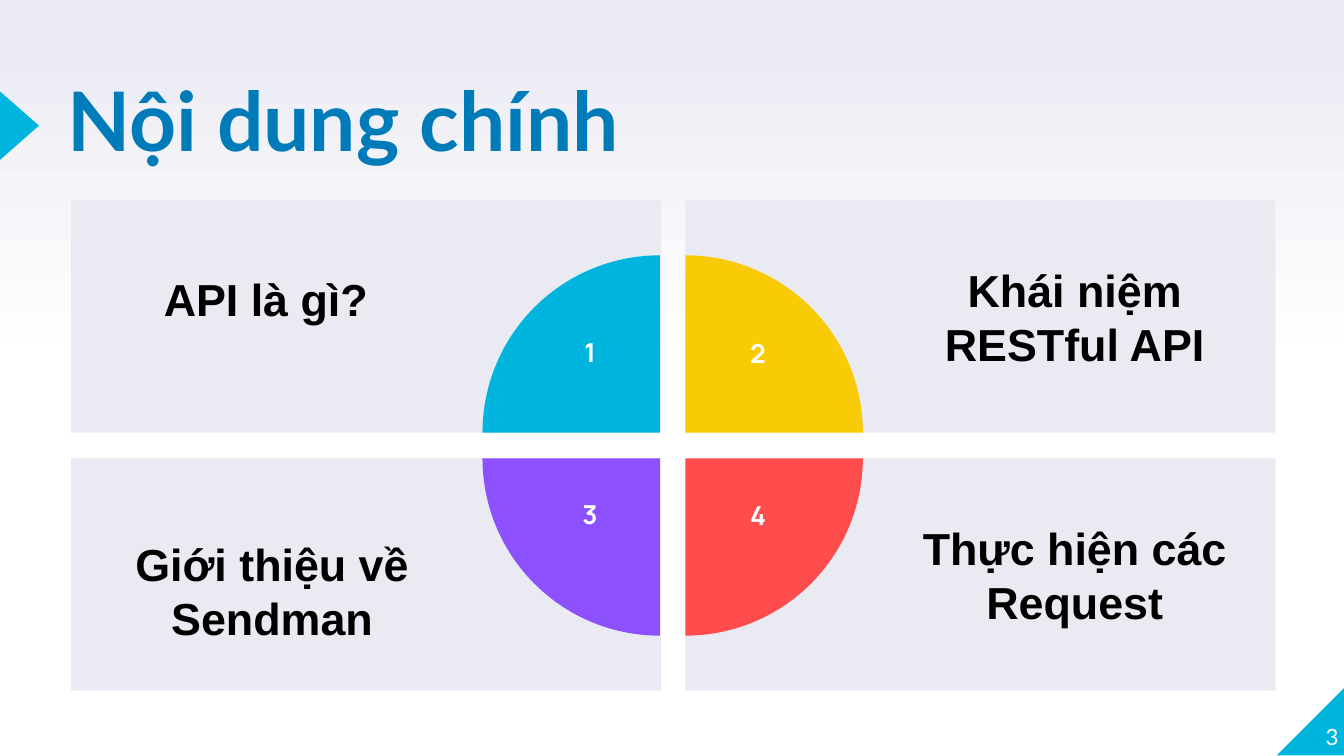
"""Build the contents slide: four topic cards around a quartered circle."""
from copy import deepcopy
from dataclasses import dataclass

from pptx import Presentation
from pptx.dml.color import RGBColor
from pptx.enum.shapes import MSO_SHAPE
from pptx.enum.text import MSO_ANCHOR, PP_ALIGN
from pptx.oxml.ns import qn
from pptx.shapes.autoshape import Shape
from pptx.slide import Slide
from pptx.text.text import TextFrame
from pptx.util import Inches, Pt

WHITE = RGBColor(0xFF, 0xFF, 0xFF)
BLACK = RGBColor(0x00, 0x00, 0x00)
LAVENDER = RGBColor(0xE9, 0xEA, 0xF2)
CYAN = RGBColor(0x00, 0xB5, 0xDD)
BLUE = RGBColor(0x00, 0x7B, 0xB9)
YELLOW = RGBColor(0xF9, 0xCB, 0x07)
PURPLE = RGBColor(0x8C, 0x50, 0xFF)
RED = RGBColor(0xFF, 0x4D, 0x4D)

CARD_LEFTS, CARD_TOPS = (0.53, 5.1), (1.49, 3.41)
PIE_LEFTS, PIE_TOPS = (3.59, 3.78), (1.9, 2.09)
NUMBER_LEFTS, NUMBER_TOPS = (4.2, 5.44), (2.45, 3.66)
NUMBER_WIDTHS = (0.38, 0.4)
MARGIN, PIE_MARGIN = 0.1, 1.5


@dataclass(frozen=True)
class Box:
    left: float
    top: float
    width: float
    height: float

    def lengths(self) -> tuple:
        return tuple(Inches(n) for n in (self.left, self.top, self.width, self.height))


@dataclass(frozen=True)
class Style:
    font: str
    size: int
    color: RGBColor
    bold: bool = True
    align: PP_ALIGN = PP_ALIGN.CENTER


@dataclass(frozen=True)
class Topic:
    text: str
    color: RGBColor
    column: int
    row: int
    rotation: int
    top_margin: float = MARGIN
    bottom_margin: float = MARGIN


TITLE = Style("Lato", 44, BLUE, align=PP_ALIGN.LEFT)
PAGE_NUMBER = Style("Lato", 12, WHITE, bold=False, align=PP_ALIGN.RIGHT)
CARD = Style("Arial", 24, BLACK)
NUMBER = Style("Manrope", 14, WHITE)

TOPICS = (
    Topic("API là gì? ", CYAN, 0, 0, 0, bottom_margin=0.36),
    Topic("Khái niệm RESTful API", YELLOW, 1, 0, 90),
    Topic("Giới thiệu về Sendman", PURPLE, 0, 1, 270, top_margin=0.34),
    Topic("Thực hiện các Request", RED, 1, 1, 180),
)


def set_margins(frame: TextFrame, left: float, top: float, right: float, bottom: float) -> None:
    frame.margin_left, frame.margin_top = Inches(left), Inches(top)
    frame.margin_right, frame.margin_bottom = Inches(right), Inches(bottom)


def write(frame: TextFrame, text: str, style: Style) -> None:
    frame.word_wrap = True
    para = frame.paragraphs[0]
    para.text = text
    para.alignment = style.align
    para.font.name = style.font
    para.font.size = Pt(style.size)
    para.font.bold = style.bold
    para.font.color.rgb = style.color


def add_text(page: Slide, box: Box, text: str, style: Style) -> TextFrame:
    frame = page.shapes.add_textbox(*box.lengths()).text_frame
    write(frame, text, style)
    return frame


def add_solid(page: Slide, kind: MSO_SHAPE, box: Box, color: RGBColor, rotation: int = 0) -> Shape:
    shape = page.shapes.add_shape(kind, *box.lengths())
    shape.shadow.inherit = False
    shape.fill.solid()
    shape.fill.fore_color.rgb = color
    shape.line.fill.background()
    shape.rotation = rotation
    return shape


def paint_background(page: Slide) -> None:
    fill = page.background.fill
    fill.gradient()
    fill.gradient_angle = 90
    stop_list = next(page.element.iter(qn("a:gsLst")))
    stop_list.append(deepcopy(stop_list[-1]))
    for stop, position, color in zip(fill.gradient_stops, (0, 0.5, 1), (WHITE, WHITE, LAVENDER)):
        stop.position = position
        stop.color.rgb = color


def add_frame(page: Slide) -> None:
    corner = add_solid(page, MSO_SHAPE.RIGHT_TRIANGLE, Box(9.5, 5.11, 0.51, 0.51), CYAN)
    corner.element.spPr.xfrm.set("flipH", "1")
    add_solid(page, MSO_SHAPE.ISOSCELES_TRIANGLE, Box(-0.11, 0.79, 0.51, 0.29), CYAN, 90)
    title = add_text(page, Box(0.5, 0.66, 6.17, 1.18), "Nội dung chính", TITLE)
    title.paragraphs[0].line_spacing = 0.8
    number = add_text(page, Box(9.46, 5.07, 0.5, 0.51), "3", PAGE_NUMBER)
    number.vertical_anchor = MSO_ANCHOR.BOTTOM
    for frame in (title, number):
        set_margins(frame, 0, 0, 0, 0)


def add_card(page: Slide, topic: Topic) -> None:
    box = Box(CARD_LEFTS[topic.column], CARD_TOPS[topic.row], 4.39, 1.73)
    frame = add_solid(page, MSO_SHAPE.RECTANGLE, box, LAVENDER).text_frame
    write(frame, topic.text, CARD)
    frame.vertical_anchor = MSO_ANCHOR.MIDDLE
    left, right = (MARGIN, PIE_MARGIN) if topic.column == 0 else (PIE_MARGIN, MARGIN)
    set_margins(frame, left, topic.top_margin, right, topic.bottom_margin)


def add_quarter(page: Slide, topic: Topic) -> None:
    box = Box(PIE_LEFTS[topic.column], PIE_TOPS[topic.row], 2.64, 2.64)
    pie = add_solid(page, MSO_SHAPE.PIE, box, topic.color, topic.rotation)
    pie.adjustments[0] = 108
    pie.adjustments[1] = 162


def add_number(page: Slide, topic: Topic, number: int) -> None:
    top = NUMBER_TOPS[topic.row] + 0.01 * topic.column
    box = Box(NUMBER_LEFTS[topic.column], top, NUMBER_WIDTHS[topic.column], 0.49)
    add_text(page, box, str(number), NUMBER)


def main() -> None:
    deck = Presentation()
    deck.slide_width = Inches(10)
    deck.slide_height = deck.slide_width * 9 // 16
    page = deck.slides.add_slide(deck.slide_layouts[6])
    paint_background(page)
    add_frame(page)
    for topic in TOPICS:
        add_card(page, topic)
    for topic in TOPICS:
        add_quarter(page, topic)
    for number, topic in enumerate(TOPICS, start=1):
        add_number(page, topic, number)
    deck.save("out.pptx")


if __name__ == "__main__":
    main()
